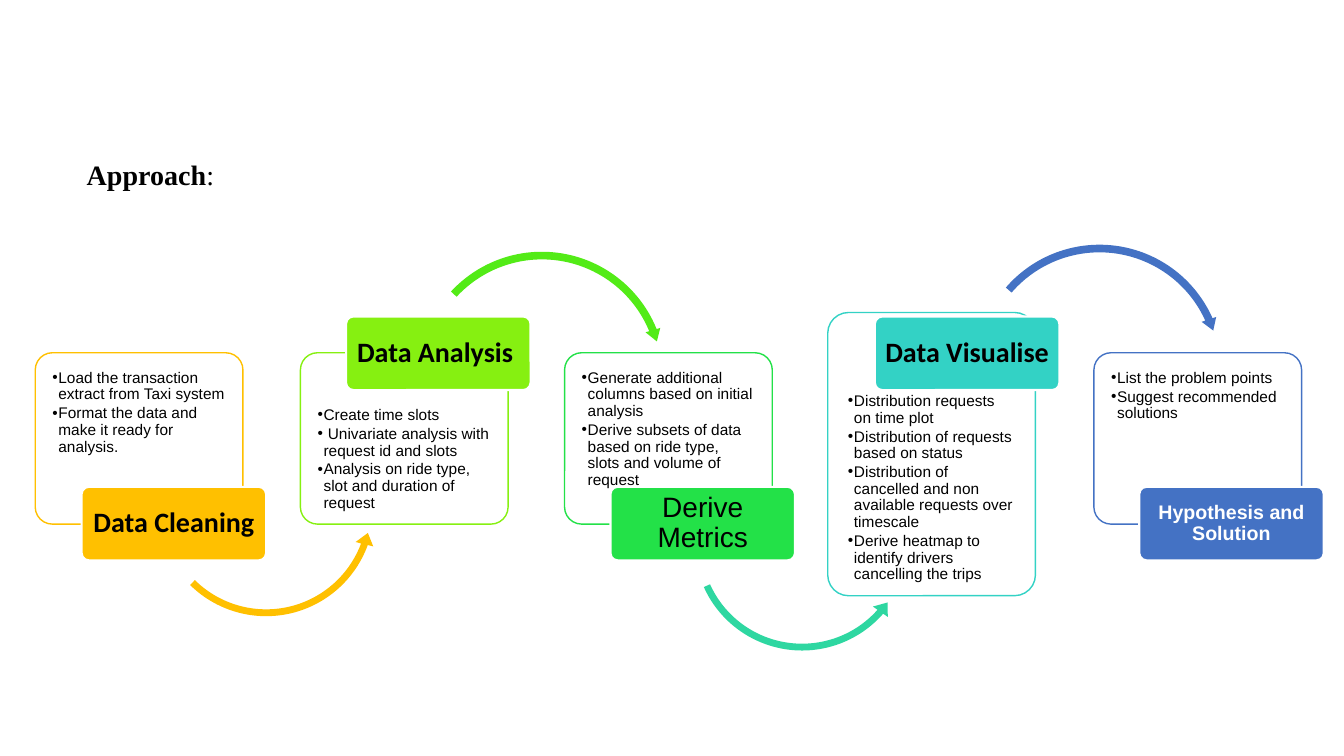
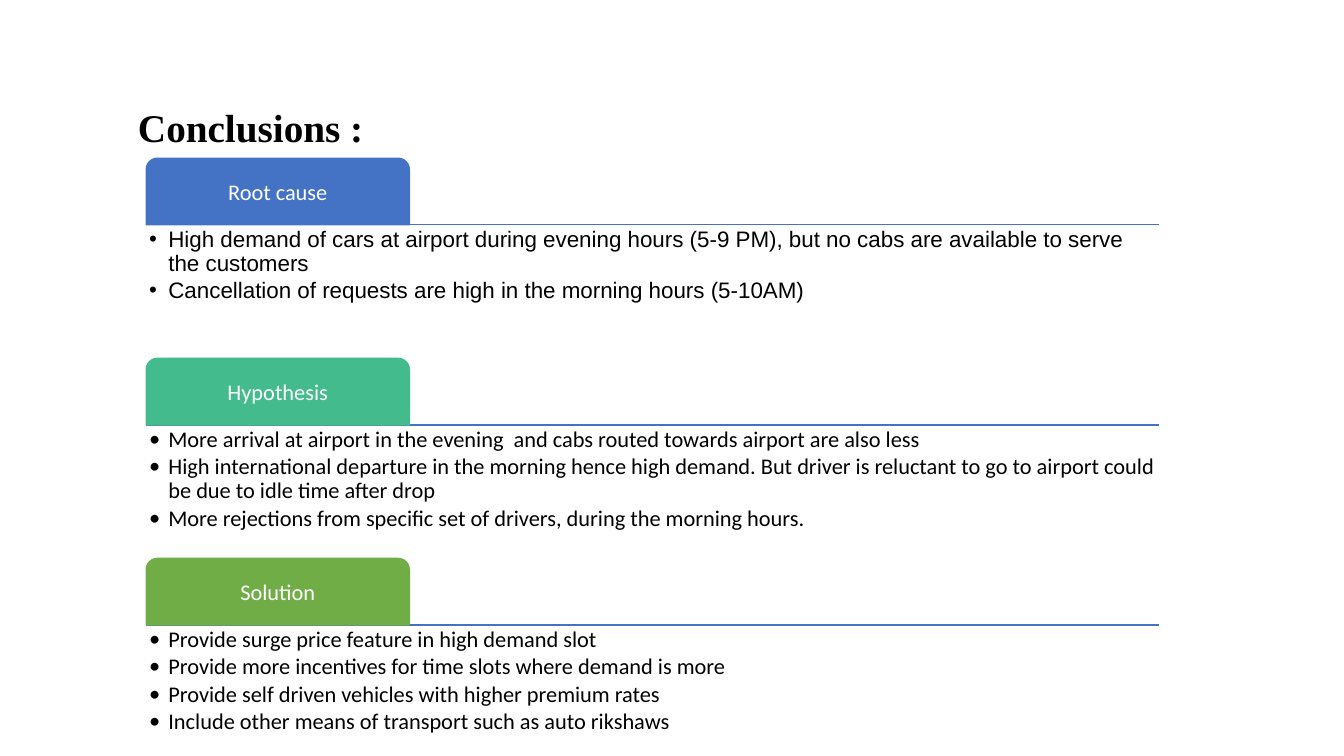
"""Build a two-slide deck: the analysis approach and its conclusions."""
from lxml.etree import SubElement
from pptx import Presentation
from pptx.dml.color import RGBColor
from pptx.enum.shapes import MSO_CONNECTOR, MSO_SHAPE
from pptx.enum.text import MSO_ANCHOR, MSO_AUTO_SIZE, PP_ALIGN
from pptx.oxml.ns import qn
from pptx.util import Inches, Pt

BLACK, WHITE, BLUE = "000000", "FFFFFF", "4472C4"
color = RGBColor.from_string


def draw(page, kind, place, fill, line=None, width=1, adjust=()):
    """Add a flat preset shape."""
    shape = page.shapes.add_shape(kind, *map(Inches, place))
    shape.shadow.inherit = False
    shape.fill.solid()
    shape.fill.fore_color.rgb = color(fill)
    if line:
        shape.line.color.rgb = color(line)
        shape.line.width = Pt(width)
    else:
        shape.line.fill.background()
    for index, value in enumerate(adjust):
        shape.adjustments[index] = value
    return shape


def write(shape, lines, font, size, ink, insets, bold=False, indent=0):
    """Fill a shape with centred lines, or with bullets when indented."""
    frame = shape.text_frame
    frame.word_wrap = True
    side, top = map(Inches, insets)
    frame.margin_left = frame.margin_right = side
    frame.margin_top = top
    frame.margin_bottom = Inches(0.03)
    frame.vertical_anchor = MSO_ANCHOR.TOP if indent else MSO_ANCHOR.MIDDLE
    for index, line in enumerate(lines):
        para = frame.add_paragraph() if index else frame.paragraphs[0]
        para.text = line
        para.alignment = PP_ALIGN.LEFT if indent else PP_ALIGN.CENTER
        para.line_spacing = 0.9
        if indent:
            para.space_after = Pt(size * 0.15)
            properties = para._p.get_or_add_pPr()
            properties.set("marL", str(Inches(indent)))
            properties.set("indent", str(-Inches(indent)))
            SubElement(properties, qn("a:buFont")).set("typeface", font)
            SubElement(properties, qn("a:buChar")).set("char", "•")
        para.font.name = font
        para.font.size = Pt(size)
        para.font.bold = bold
        para.font.color.rgb = color(ink)


deck = Presentation()
deck.slide_width, deck.slide_height = Inches(13.33), Inches(7.5)

titles = [
    (0.76, 1.28, [("Approach", 20, True), (":", 20, False)]),
    (1.13, 0.76, [(" ", 40, True), ("Conclusions :", 28, True)]),
]
pages = []
for left, top, spans in titles:
    page = deck.slides.add_slide(deck.slide_layouts[5])
    pages.append(page)
    title = page.shapes.title
    title.left, title.top = Inches(left), Inches(top)
    title.width, title.height = Inches(10.19), Inches(0.94)
    title.text_frame.auto_size = MSO_AUTO_SIZE.NONE
    title.text_frame.vertical_anchor = MSO_ANCHOR.MIDDLE
    para = title.text_frame.paragraphs[0]
    para.alignment = PP_ALIGN.LEFT
    para.line_spacing = 0.9
    para.font.name = "Times New Roman"
    para.font.color.rgb = color(BLACK)
    for text, size, bold in spans:
        span = para.add_run()
        span.text = text
        span.font.size = Pt(size)
        span.font.bold = bold

approach, conclusions = pages

LABEL_HIGH, LABEL_LOW = 3.14, 4.83
LABEL_STEP = (11.3 - 0.81) / 4
stages = [
    ("Data Cleaning", "FFC000", (0.35, 3.5, 2.06, 1.7), LABEL_LOW, (0.12, 0.12),
     ("Calibri", 20, BLACK, True), [
        "Load the transaction extract from Taxi system",
        "Format the data and make it ready for analysis."]),
    ("Data Analysis ", "86F011", (2.98, 3.5, 2.06, 1.7), LABEL_HIGH, (0.12, 0.49),
     ("Calibri", 20, BLACK, True), [
        "Create time slots",
        " Univariate analysis with request id and slots",
        "Analysis on ride type, slot and duration of request"]),
    ("Derive Metrics", "23E148", (5.6, 3.5, 2.06, 1.7), LABEL_LOW, (0.12, 0.12),
     ("Arial", 20, BLACK, False), [
        "Generate additional columns based on initial analysis",
        "Derive subsets of data based on ride type, slots and volume of request"]),
    ("Data Visualise", "33D2C5", (8.21, 3.1, 2.06, 2.81), LABEL_HIGH, (0.14, 0.74),
     ("Calibri", 20, BLACK, True), [
        "Distribution requests on time plot",
        "Distribution of requests based on status",
        "Distribution of cancelled and non available requests over timescale",
        "Derive heatmap to identify drivers cancelling the trips"]),
    ("Hypothesis and Solution", BLUE, (10.85, 3.5, 2.06, 1.7), LABEL_LOW, (0.12, 0.12),
     ("Arial", 14, WHITE, True), [
        "List the problem points",
        "Suggest recommended solutions"]),
]
UNDER, OVER = MSO_SHAPE.LEFT_CIRCULAR_ARROW, MSO_SHAPE.CIRCULAR_ARROW
OVER_BEND = (0.03, 3.43, 194.81, 125.76, 0.03)
arrows = [
    (UNDER, (1.51, 3.91, 2.26, 2.26), 344.2, "FFC000", (0.03, 3.86, 21.62, 90.25, 0.04)),
    (OVER, (4.11, 2.46, 2.53, 2.53), 13.1, "53EB17", OVER_BEND),
    (UNDER, (6.83, 4.26, 2.25, 2.25), 0, "2ED7A1", (0.03, 3.88, 24.82, 93.43, 0.04)),
    (OVER, (9.64, 2.39, 2.53, 2.53), 11.2, BLUE, OVER_BEND),
]
for index, (name, accent, place, label_top, insets, style, points) in enumerate(stages):
    card = draw(approach, MSO_SHAPE.ROUNDED_RECTANGLE, place, WHITE, accent, adjust=[0.1])
    write(card, points, "Arial", 11, BLACK, insets, indent=0.06)
    if index < len(arrows):
        kind, arrow_place, turn, fill, bend = arrows[index]
        arrow = draw(approach, kind, arrow_place, fill, adjust=bend)
        arrow.rotation = turn
    label_place = (0.81 + index * LABEL_STEP, label_top, 1.83, 0.73)
    label = draw(approach, MSO_SHAPE.ROUNDED_RECTANGLE, label_place, accent, WHITE, 1.5, [0.1])
    font, size, ink, bold = style
    write(label, [name], font, size, ink, (0.04, 0.03), bold)

sections = [
    ("Root cause", BLUE, "Arial", [
        "High demand of cars at airport during evening hours (5-9 PM), but no cabs are available to serve the customers",
        "Cancellation of requests are high in the morning hours (5-10AM)"]),
    ("Hypothesis", "43BB8D", "Calibri", [
        "More arrival at airport in the evening  and cabs routed towards airport are also less",
        "High international departure in the morning hence high demand. But driver is reluctant to go to airport could be due to idle time after drop",
        "More rejections from specific set of drivers, during the morning hours."]),
    ("Solution", "70AD47", "Calibri", [
        "Provide surge price feature in high demand slot",
        "Provide more incentives for time slots where demand is more",
        "Provide self driven vehicles with higher premium rates",
        "Include other means of transport such as auto rikshaws"]),
]
SECTION_STEP = (6.2 - 2.23) / 2
for index, (name, accent, font, points) in enumerate(sections):
    base = 2.23 + index * SECTION_STEP
    rule = conclusions.shapes.add_connector(
        MSO_CONNECTOR.STRAIGHT, Inches(1.45), Inches(base), Inches(11.5), Inches(base))
    rule.line.color.rgb = color(BLUE)
    rule.line.width = Pt(1)
    SubElement(rule._element.spPr, qn("a:effectLst"))
    tab = draw(conclusions, MSO_SHAPE.ROUND_2_SAME_RECTANGLE, (1.45, base - 0.66, 2.61, 0.66),
               accent, accent, adjust=[0.17, 0])
    write(tab, [name], "Calibri", 16, WHITE, (0.03, 0.03))
    box = conclusions.shapes.add_textbox(Inches(1.45), Inches(base), Inches(10.05), Inches(1.3))
    write(box, points, font, 16, BLACK, (0.03, 0.03), indent=0.19)

deck.save("out.pptx")
